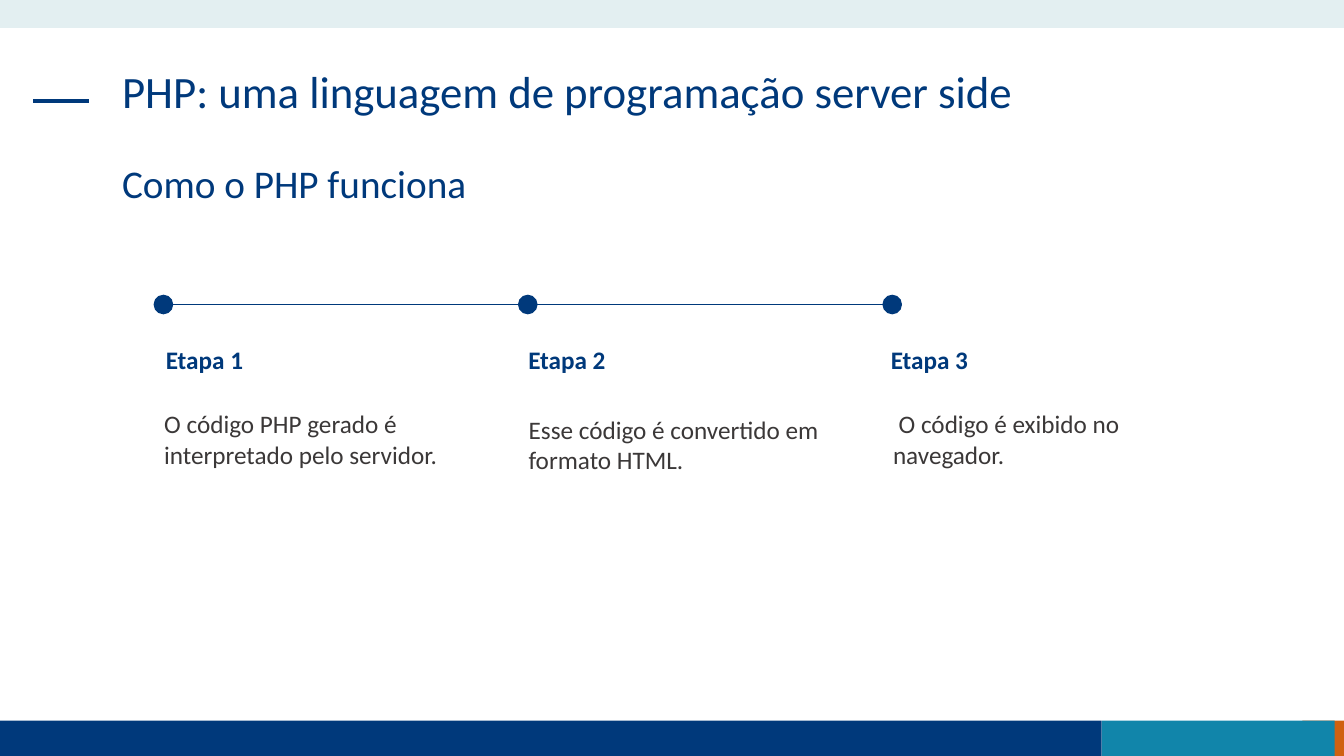
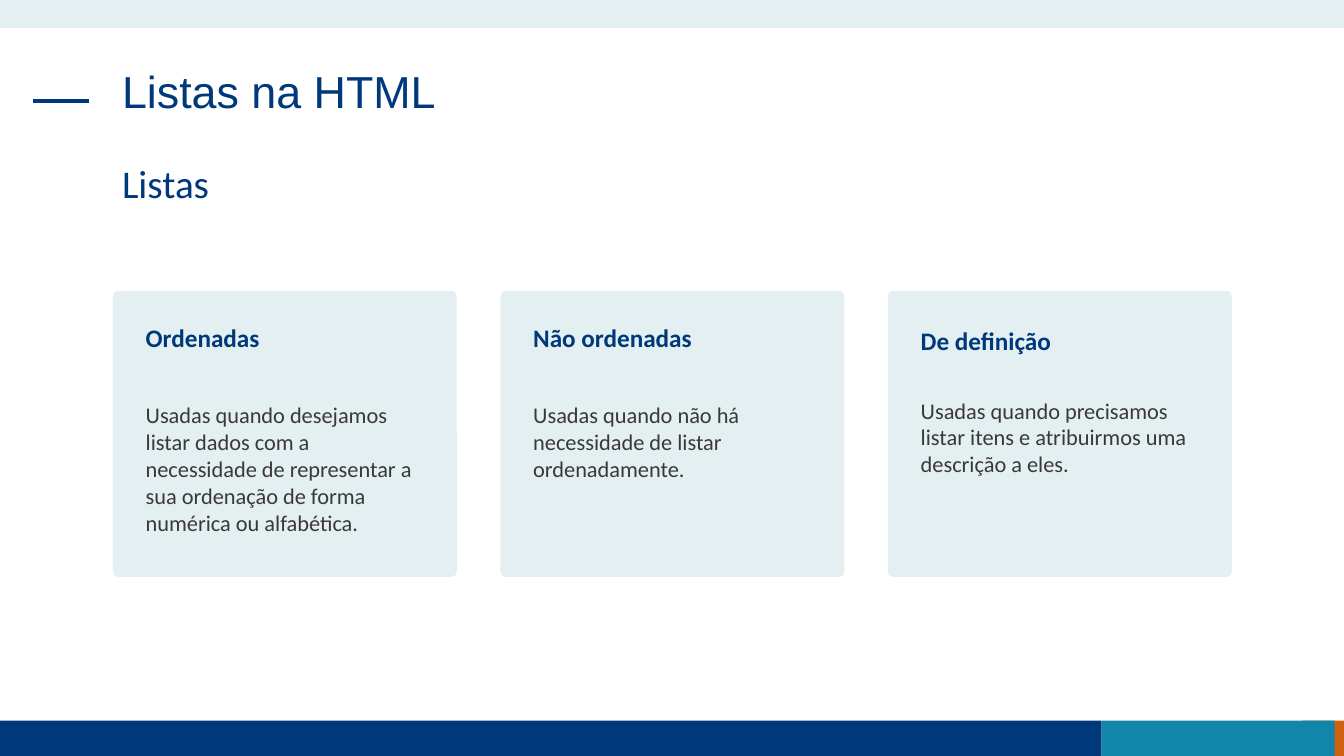
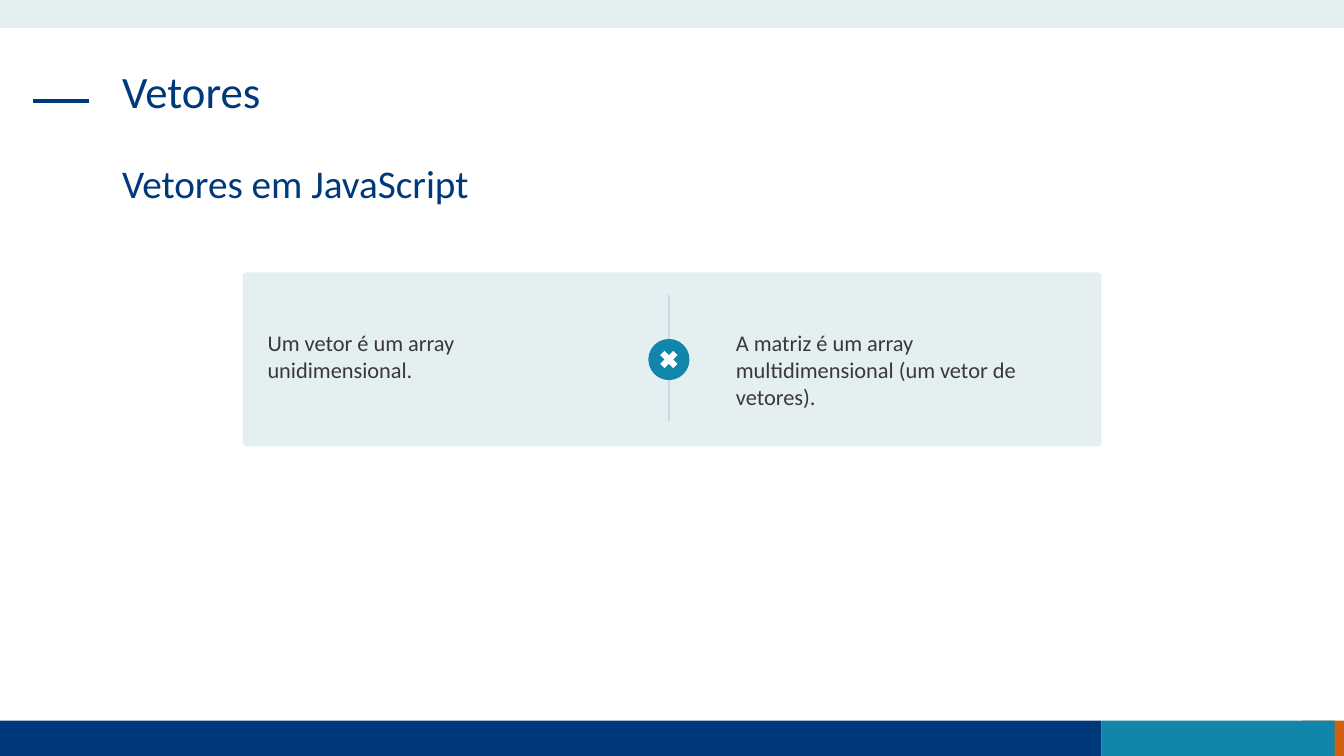
import pptx
import pptx.dml.color
import pptx.enum.shapes
import pptx.enum.text
import pptx.oxml
import pptx.oxml.ns
import pptx.util
from lxml import etree

Pt = pptx.util.Pt
SHAPE = pptx.enum.shapes.MSO_SHAPE
ANCHOR = pptx.enum.text.MSO_ANCHOR

COLORS = {
    "navy": "00397B",
    "teal": "1185AA",
    "orange": "D06110",
    "pale": "E3EFF1",
    "divider": "C4DDE1",
    "text": "3B3838",
    "white": "FFFFFF",
}

# Left, top, width, height, colour
BANDS = [
    (930.2, 514.8, 29.8, 25.2, "orange"),
    (0, 514.8, 787, 25.2, "navy"),
    (787, 514.8, 166.3, 25.2, "teal"),
    (0, 0, 960, 20, "pale"),
]
HEADING_LEFT, HEADING_WIDTH, HEADING_HEIGHT = 80, 799.2, 67.7
TITLE_TOP, SUBTITLE_TOP = 46, 114.3

# Label, text, top of text
STEPS = [
    ("Etapa 1", "O código PHP gerado é interpretado pelo servidor.", 288),
    ("Etapa 2", "Esse código é convertido em formato HTML.", 292),
    ("Etapa 3", " O código é exibido no navegador.", 288),
]
# Label, top of label, text, top of text
CARDS = [
    ("Ordenadas", 226.4,
     "Usadas quando desejamos listar dados com a necessidade de representar a "
     "sua ordenação de forma numérica ou alfabética.", 283),
    ("Não ordenadas", 226.4,
     "Usadas quando não há necessidade de listar ordenadamente.", 283),
    ("De definição", 228.8,
     "Usadas quando precisamos listar itens e atribuirmos uma descrição a eles.", 279.8),
]
# Left, text
ARRAY_KINDS = [
    (184, "Um vetor é um array unidimensional."),
    (518.6, "A matriz é um array multidimensional (um vetor de vetores)."),
]


def rgb(name):
    return pptx.dml.color.RGBColor.from_string(COLORS[name])


def write_text(shape, text, size=16, color="text", font="Calibri", bold=False,
               anchor=ANCHOR.TOP, line_spacing=None):
    frame = shape.text_frame
    frame.word_wrap = True
    frame.auto_size = pptx.enum.text.MSO_AUTO_SIZE.NONE
    frame.vertical_anchor = anchor
    paragraph = frame.paragraphs[0]
    paragraph.alignment = pptx.enum.text.PP_ALIGN.LEFT
    paragraph.line_spacing = line_spacing
    paragraph.space_before = Pt(0)
    run = paragraph.add_run()
    run.text = text
    run.font.size = Pt(size)
    run.font.name = font
    run.font.bold = bold
    run.font.color.rgb = rgb(color)
    return paragraph


def add_text(slide, left, top, width, height, text, **text_format):
    box = slide.shapes.add_textbox(Pt(left), Pt(top), Pt(width), Pt(height))
    write_text(box, text, **text_format)


def add_filled(slide, kind, left, top, width, height, color):
    shape = slide.shapes.add_shape(kind, Pt(left), Pt(top), Pt(width), Pt(height))
    shape.shadow.inherit = False
    shape.fill.solid()
    shape.fill.fore_color.rgb = rgb(color)
    shape.line.fill.background()
    return shape


def add_panel(slide, left, top, width, height):
    panel = add_filled(slide, SHAPE.ROUNDED_RECTANGLE, left, top, width, height, "pale")
    panel.adjustments[0] = 0.02


def add_line(slide, start_x, start_y, end_x, end_y, color, width):
    line = slide.shapes.add_connector(
        pptx.enum.shapes.MSO_CONNECTOR.STRAIGHT,
        Pt(start_x), Pt(start_y), Pt(end_x), Pt(end_y))
    line.line.color.rgb = rgb(color)
    line.line.width = Pt(width)
    properties = line.element.find(pptx.oxml.ns.qn("p:spPr"))
    etree.SubElement(properties, pptx.oxml.ns.qn("a:effectLst"))
    return line


def decorate_layout(layout, slide):
    """Draw the shared parts on a slide, then move them to its layout."""
    for placeholder, top in zip(layout.placeholders, (TITLE_TOP, SUBTITLE_TOP)):
        placeholder.left, placeholder.top = Pt(HEADING_LEFT), Pt(top)
        placeholder.width, placeholder.height = Pt(HEADING_WIDTH), Pt(HEADING_HEIGHT)
    parts = [add_filled(slide, SHAPE.RECTANGLE, *band) for band in BANDS]
    parts.append(add_line(slide, 23.8, 72, 63.4, 72, "navy", 3))
    for index, part in enumerate(parts):
        part.element.xpath(".//p:cNvPr")[0].set("id", str(100 + index))
        layout.shapes.element.insert(2 + index, part.element)


def write_headings(slide, title, subtitle, title_font="Calibri"):
    write_text(slide.shapes.title, title, size=32, color="navy", font=title_font,
               line_spacing=0.9)
    paragraph = write_text(slide.placeholders[1], subtitle, size=28, color="navy",
                           line_spacing=0.9)
    properties = paragraph._p.get_or_add_pPr()
    properties.set("marL", "0")
    properties.set("indent", "0")
    etree.SubElement(properties, pptx.oxml.ns.qn("a:buNone"))


def build_steps(slide):
    write_headings(slide, "PHP: uma linguagem de programação server side",
                   "Como o PHP funciona")
    left, pitch, dot_top, dot_size = 110.2, 260.3, 211, 13
    for index, (label, text, text_top) in enumerate(STEPS):
        step_left = left + index * pitch
        dot = add_filled(slide, SHAPE.OVAL, step_left, dot_top, dot_size, dot_size, "navy")
        dot.line.color.rgb = rgb("navy")
        dot.line.width = Pt(1)
        add_text(slide, 111.4 + index * 258.9, 242.6, 220.3, 29, label,
                 size=18, color="navy", bold=True)
        add_text(slide, step_left, text_top, 221.8, 51, text, size=18,
                 anchor=ANCHOR.MIDDLE)
    center_x, center_y = left + dot_size / 2, dot_top + dot_size / 2
    add_line(slide, center_x, center_y, center_x + 2 * pitch, center_y, "navy", 0.5)


def build_cards(slide):
    write_headings(slide, "Listas na HTML", "Listas", title_font="Arial")
    for index, (label, label_top, text, text_top) in enumerate(CARDS):
        left = 80.7 + index * 276.8
        add_panel(slide, left, 207.7, 245.6, 204.4)
        add_text(slide, left + 16.3, label_top, 213, 29, label,
                 size=18, color="navy", bold=True)
        add_text(slide, left + 16.3, text_top, 213, 104, text)


def build_comparison(slide):
    write_headings(slide, "Vetores", "Vetores em JavaScript")
    add_panel(slide, 173.5, 194.6, 613.2, 124.2)
    for left, text in ARRAY_KINDS:
        add_text(slide, left, 231.8, 245.5, 65.5, text)
    center_x, center_y = 477.8, 256.8
    add_line(slide, center_x, 210.5, center_x, 301, "divider", 1.5)
    for kind, size, color in ((SHAPE.OVAL, 29.4, "teal"),
                              (SHAPE.MATH_MULTIPLY, 18, "white")):
        add_filled(slide, kind, center_x - size / 2, center_y - size / 2,
                   size, size, color)


def main():
    presentation = pptx.Presentation()
    presentation.slide_width, presentation.slide_height = Pt(960), Pt(540)
    layout = presentation.slide_layouts[1]
    builders = (build_steps, build_cards, build_comparison)
    slides = [presentation.slides.add_slide(layout) for _ in builders]
    decorate_layout(layout, slides[0])
    for build, slide in zip(builders, slides):
        build(slide)
    presentation.save("out.pptx")


if __name__ == "__main__":
    main()
